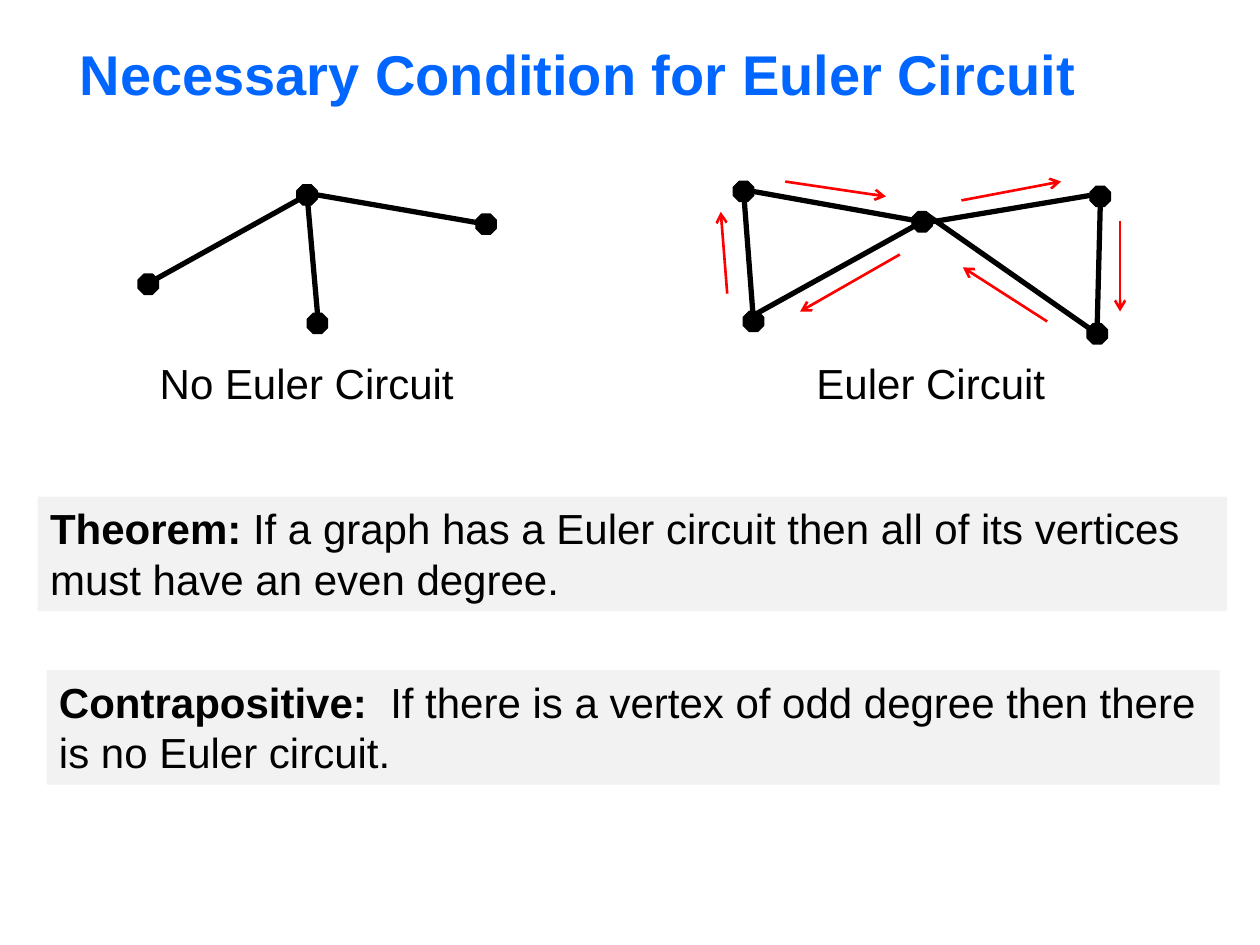
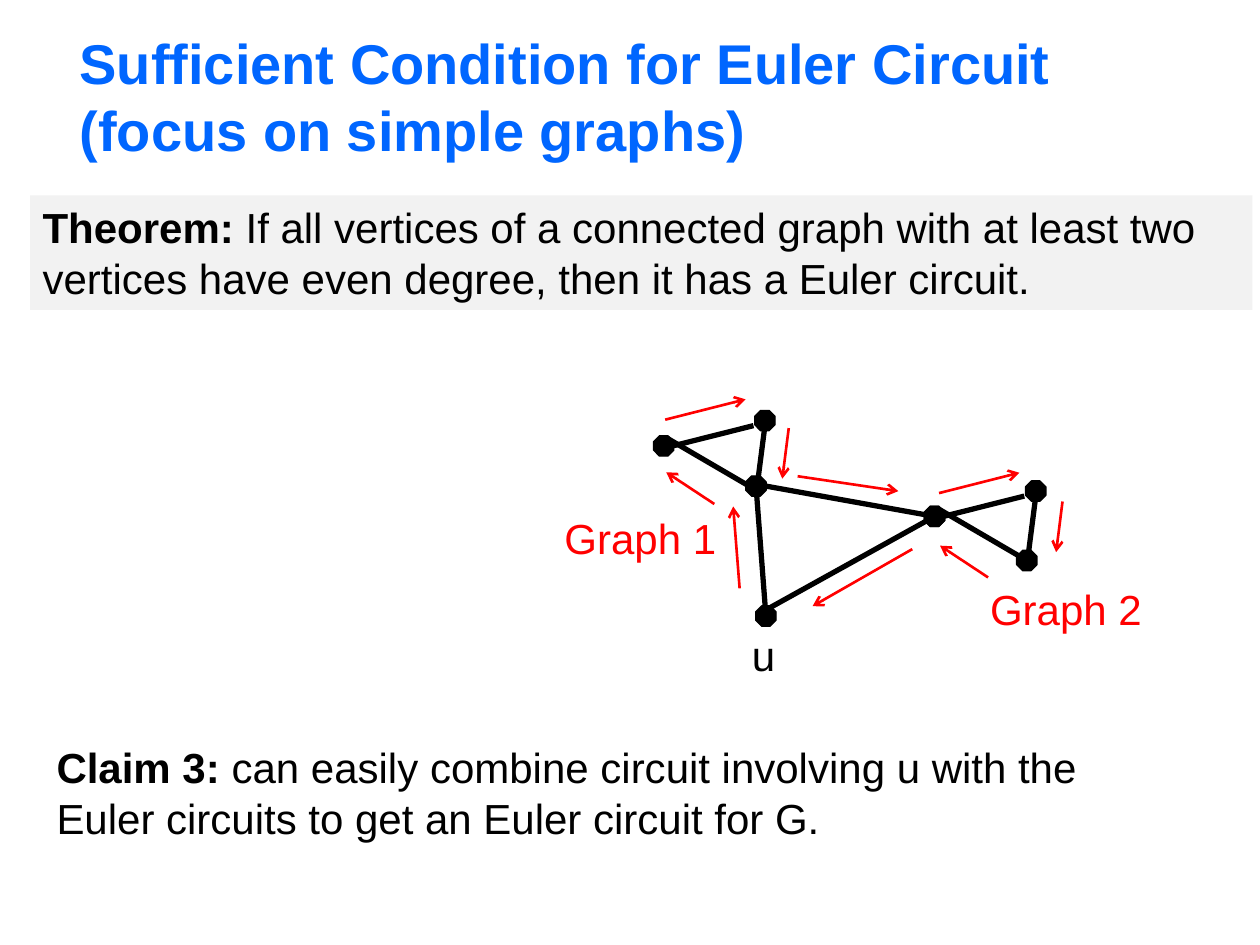
from lxml.etree import SubElement
from pptx import Presentation
from pptx.dml.color import RGBColor
from pptx.enum.shapes import MSO_CONNECTOR, MSO_SHAPE
from pptx.enum.text import MSO_ANCHOR, MSO_AUTO_SIZE, PP_ALIGN
from pptx.oxml.ns import qn
from pptx.util import Cm, Pt

BLUE = RGBColor(0x00, 0x66, 0xFF)
BLACK = RGBColor(0x00, 0x00, 0x00)
RED = RGBColor(0xFF, 0x00, 0x00)
GREY = RGBColor(0xF2, 0xF2, 0xF2)

TITLE = {"name": "Arial", "size": Pt(32), "bold": True}
BODY = {"name": "Arial", "size": Pt(24), "bold": False}
LEAD = {**BODY, "bold": True}
DOT = 0.41

# Graph parts, in cm from the part's own corner: vertex centres, edges, arrows
LOOP = {
    "dots": [(0.46, 0.2), (4.06, 0.81), (0.66, 2.82)],
    "edges": [(0.66, 2.82, 0.46, 0.2), (0.66, 0.2, 4.06, 0.81),
              (4.06, 0.81, 0.76, 2.64)],
    "arrows": [(1.3, 0, 3.33, 0.3), (3.61, 1.47, 1.6, 2.62),
               (0.13, 2.26, 0, 0.61)],
}
WING = {
    "dots": [(7.65, 0.3), (7.59, 3.07)],
    "edges": [(7.44, 0.28, 4.27, 0.81), (7.59, 2.87, 7.65, 0.48),
              (7.59, 3.07, 4.14, 0.66)],
    "arrows": [(4.85, 0.38, 6.86, 0), (8.05, 0.79, 8.05, 2.62),
               (6.58, 2.82, 4.88, 1.73)],
}
TRIANGLE = {
    "dots": [(2.24, 0.43), (0.2, 0.94)],
    "edges": [(2.01, 0.53, 0.38, 0.94), (2.06, 1.93, 2.24, 0.53),
              (2.01, 1.8, 0.28, 0.79)],
    "arrows": [(0.23, 0.41, 1.85, 0), (2.72, 0.58, 2.59, 1.6),
               (1.22, 2.11, 0.25, 1.47)],
}
STAR = {
    "dots": [(0.2, 2), (7.01, 0.79), (3.61, 2.79), (3.4, 0.2)],
    "edges": [(3.61, 2.59, 3.4, 0.2), (0.2, 1.98, 3.4, 0.2),
              (3.61, 0.2, 7.01, 0.79)],
    "arrows": [],
}


def add_run(p, text, style, color):
    r = p.add_run()
    r.text = text
    for key, value in style.items():
        setattr(r.font, key, value)
    r.font.color.rgb = color


def add_title(s, text, top):
    sp = s.shapes.title
    for key, value in {"left": 1.35, "top": top, "width": 21.59, "height": 1.73}.items():
        setattr(sp, key, Cm(value))
    tf = sp.text_frame
    tf.auto_size, tf.vertical_anchor = MSO_AUTO_SIZE.NONE, MSO_ANCHOR.MIDDLE
    p = tf.paragraphs[0]
    p.alignment = PP_ALIGN.LEFT
    for i, line in enumerate(text.split("\n")):
        if i:
            p.add_line_break()
        add_run(p, line, TITLE, BLUE)


def add_text(s, box, text, lead="", color=BLACK, fill=None, wrap=False):
    """Text box with an optional bold lead-in; each line break is kept."""
    sp = s.shapes.add_textbox(*map(Cm, box))
    if fill is not None:
        sp.fill.solid()
        sp.fill.fore_color.rgb = fill
    tf = sp.text_frame
    tf.word_wrap, tf.auto_size = wrap, MSO_AUTO_SIZE.SHAPE_TO_FIT_TEXT
    p = tf.paragraphs[0]
    if lead:
        add_run(p, lead, LEAD, color)
    for i, line in enumerate(text.split("\n")):
        if i:
            p.add_line_break()
        add_run(p, line, BODY, color)


def add_line(s, left, top, ends, color, width, arrow=False):
    x1, y1, x2, y2 = ends
    c = s.shapes.add_connector(MSO_CONNECTOR.STRAIGHT, Cm(left + x1), Cm(top + y1),
                               Cm(left + x2), Cm(top + y2))
    c.line.color.rgb, c.line.width = color, Pt(width)
    if arrow:
        SubElement(c.line._get_or_add_ln(), qn("a:tailEnd"), type="arrow")
    SubElement(c._element.spPr, qn("a:effectLst"))


def add_graph(s, left, top, graph, nudge=0):
    """Draw one graph part; nudge moves its arrows away from the edges."""
    for x, y in graph["dots"]:
        sp = s.shapes.add_shape(MSO_SHAPE.OCTAGON, Cm(left + x - DOT / 2),
                                Cm(top + y - DOT / 2), Cm(DOT), Cm(DOT))
        sp.shadow.inherit = False
        sp.fill.solid()
        sp.fill.fore_color.rgb = sp.line.color.rgb = BLACK
        sp.line.width = Pt(0.75)
    for ends in graph["edges"]:
        add_line(s, left, top, ends, BLACK, 3)
    for ends in graph["arrows"]:
        add_line(s, left + nudge, top + nudge, ends, RED, 1.5, arrow=True)


def necessary_slide(prs):
    s = prs.slides.add_slide(prs.slide_layouts[5])
    add_title(s, "Necessary Condition for Euler Circuit", 0.61)
    # Graphs with their captions
    add_graph(s, 2.79, 3.73, STAR)
    for part in (LOOP, WING):
        add_graph(s, 14.53, 3.66, part)
    add_text(s, (2.97, 7.09, 6.5, 1.27), "No Euler Circuit")
    add_text(s, (16.21, 7.09, 5.18, 1.27), "Euler Circuit")
    # Statements
    add_text(s, (0.76, 10.01, 23.98, 2.31),
             " If a graph has a Euler circuit then all of its vertices "
             "must have an even degree.", "Theorem:", fill=GREY, wrap=True)
    add_text(s, (0.94, 13.51, 23.65, 2.31),
             "  If there is a vertex of odd degree then there\nis no Euler circuit.",
             "Contrapositive:", fill=GREY)


def sufficient_slide(prs):
    s = prs.slides.add_slide(prs.slide_layouts[5])
    add_title(s, "Sufficient Condition for Euler Circuit\n(focus on simple graphs)", 1.07)
    # Statements
    add_text(s, (0.61, 3.94, 24.64, 2.31),
             " If all vertices of a connected graph with at least two "
             "vertices have even degree, then it has a Euler circuit.",
             "Theorem:", fill=GREY, wrap=True)
    add_text(s, (0.89, 14.83, 21.54, 2.31),
             "can easily combine circuit involving u with the\n"
             "Euler circuits to get an Euler circuit for G.", "Claim 3: ")
    # Loop through u with a triangle at each of its other corners
    add_graph(s, 14.78, 9.6, LOOP)
    add_graph(s, 13.18, 8.05, TRIANGLE)
    add_graph(s, 18.64, 9.47,
              {**TRIANGLE, "dots": TRIANGLE["dots"] + [(2.06, 1.83)]}, nudge=0.06)
    add_text(s, (14.91, 12.57, 0.99, 1.27), "u")
    add_text(s, (11.13, 10.21, 3.61, 1.27), "Graph 1", color=RED)
    add_text(s, (19.71, 11.63, 3.61, 1.27), "Graph 2", color=RED)


prs = Presentation()
prs.slide_width, prs.slide_height = Cm(25.4), Cm(19.05)
necessary_slide(prs)
sufficient_slide(prs)
prs.save("out.pptx")
